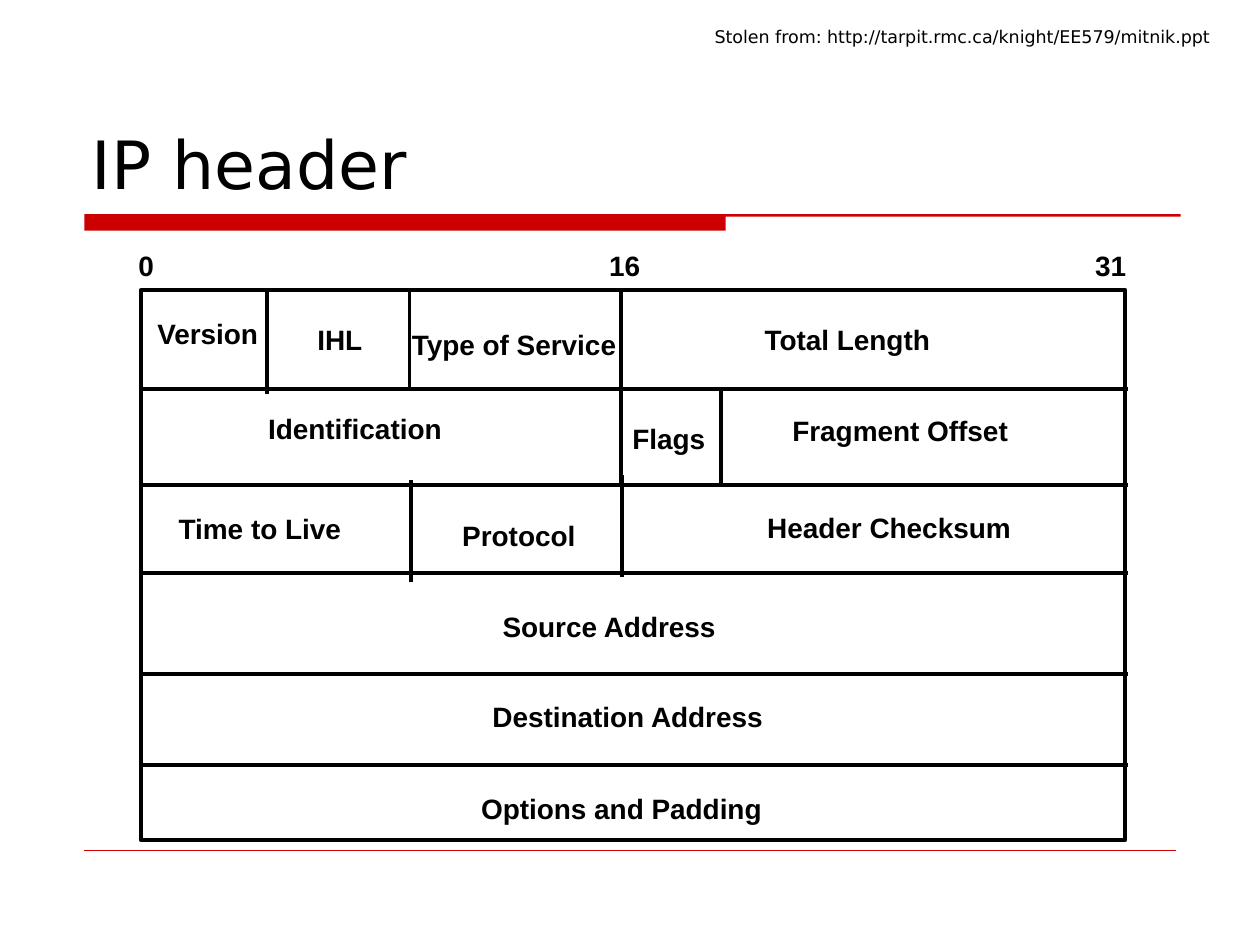
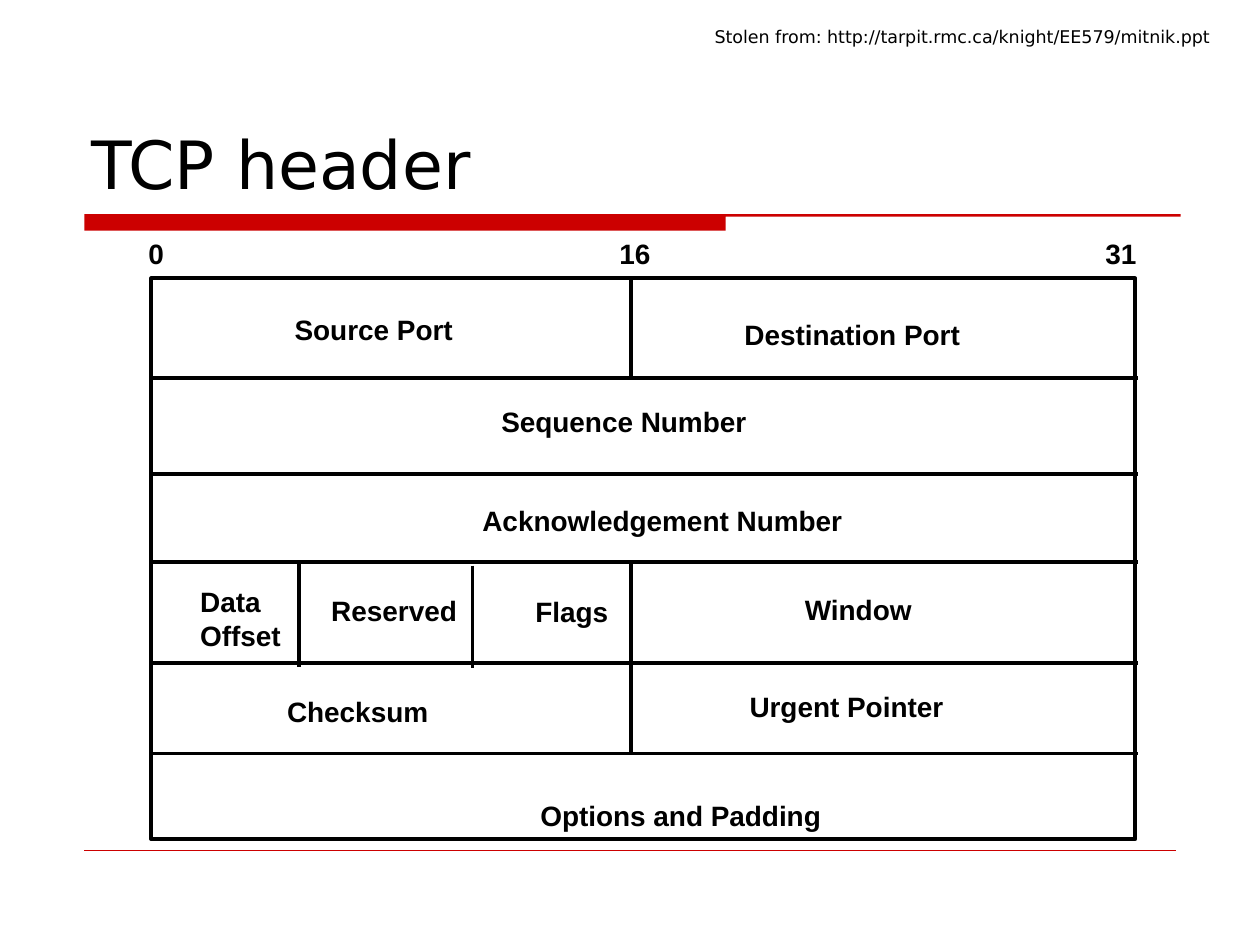
from lxml import etree
from pptx import Presentation
from pptx.dml.color import RGBColor
from pptx.enum import shapes, text
from pptx.oxml.ns import qn
from pptx.util import Inches, Pt

HUES = {"ink": "000000", "band": "CC0000"}
SANS, BOLD = "DejaVu Sans", "Arial"
CREDIT = "Stolen from: http://tarpit.rmc.ca/knight/EE579/mitnik.ppt"
WIDE, HIGH = 7.81, 0.37  # frame width, height of a one-line label
SLACK = 0.15  # spare label width, so that no label breaks
ROWS = (0.79, 1.55, 2.25, 3.05, 3.77)  # row rules below the frame top
DROP = 0.81  # usual length of a divider
BAND = [(0.67, 1.7), (9.37, 1.7), (9.37, 1.72),
        (5.76, 1.72), (5.76, 1.83), (0.67, 1.83)]

# frame: left, top, height; cuts: x, y, length; labels: text, x, y, width
# Places of cuts and labels are measured from the frame corner.
HEADERS = [
    {
        "title": "IP header",
        "frame": (1.12, 2.3, 4.37),
        "cuts": [
            (3.81, 0, DROP), (2.13, -0.01, DROP), (1, 0.02, DROP),
            (3.81, 0.73, DROP), (4.6, 0.78, 0.76),
            (3.82, 1.47, DROP), (2.14, 1.51, DROP),
        ],
        "labels": [
            ("Version", 0.03, 0.16, 1.01),
            ("IHL", 1.3, 0.21, 0.55),
            ("Type of Service", 2.05, 0.25, 1.84),
            ("Total Length", 4.85, 0.21, 1.53),
            ("Identification", 0.91, 0.92, 1.58),
            ("Flags", 3.8, 1, 0.78),
            ("Fragment Offset", 5.07, 0.93, 1.91),
            ("Time to Live", 0.2, 1.71, 1.49),
            ("Protocol", 2.45, 1.77, 1.1),
            ("Header Checksum", 4.87, 1.7, 2.13),
            ("Source Address", 2.77, 2.49, 1.9),
            ("Destination Address", 2.69, 3.2, 2.35),
            ("Options and Padding", 2.6, 3.93, 2.43),
        ],
    },
    {
        "title": "TCP header",
        "frame": (1.2, 2.21, 4.45),
        "cuts": [
            (3.81, 0, DROP), (1.17, 2.27, DROP), (2.55, 2.28, DROP),
            (3.81, 2.24, DROP), (3.81, 3.04, 0.72),
        ],
        "labels": [
            ("Source Port", 1.04, 0.22, 1.45),
            ("Destination Port", 4.61, 0.26, 1.91),
            ("Sequence Number", 2.68, 0.95, 2.14),
            ("Acknowledgement Number", 2.53, 1.74, 3.06),
            ("Data\nOffset", 0.29, 2.38, 0.84),
            ("Reserved", 1.33, 2.45, 1.2),
            ("Flags", 2.95, 2.46, 0.78),
            ("Window", 5.09, 2.44, 1.05),
            ("Checksum", 0.98, 3.25, 1.32),
            ("Urgent Pointer", 4.65, 3.21, 1.74),
            ("Options and Padding", 2.99, 4.08, 2.43),
        ],
    },
]


def tint(name):
    return RGBColor.from_string(HUES[name])


def rule(slide, x1, y1, x2, y2, hue="ink", weight=2.25):
    line = slide.shapes.add_connector(
        shapes.MSO_CONNECTOR.STRAIGHT, *map(Inches, (x1, y1, x2, y2)))
    line.line.color.rgb = tint(hue)
    line.line.width = Pt(weight)
    etree.SubElement(line._element.spPr, qn("a:effectLst"))


def write(slide, words, x, y, w, h, size=16, face=BOLD, wrap=True):
    frame = slide.shapes.add_textbox(*map(Inches, (x, y, w, h))).text_frame
    frame.word_wrap = wrap
    frame.text = words
    for para in frame.paragraphs:
        para.font.size = Pt(size)
        para.font.name = face
        para.font.bold = face == BOLD
        para.font.color.rgb = tint("ink")
    return frame


def base(slide, title):
    """Draw the title, stepped red band, foot rule and credit."""
    path = slide.shapes.build_freeform(*map(Inches, BAND[0]), scale=1.0)
    path.add_line_segments([(Inches(x), Inches(y)) for x, y in BAND[1:]])
    band = path.convert_to_shape()
    band.shadow.inherit = False
    band.fill.solid()
    band.fill.fore_color.rgb = tint("band")
    band.line.fill.background()
    rule(slide, 0.67, 6.75, 9.33, 6.75, "band", 0.25)
    head = write(slide, title, 0.63, 0.33, 8.75, 1.33, 38, SANS)
    head.vertical_anchor = text.MSO_ANCHOR.BOTTOM
    note = write(slide, CREDIT, 5.2, 0.16, 4.5, 0.27, 10, SANS)
    note.paragraphs[0].alignment = text.PP_ALIGN.RIGHT


def scale(slide, x, y):
    """Write the bit numbers, held in place by tab stops."""
    frame = write(slide, "0\t16\t31", x, y, 8.31, HIGH)
    props = frame.paragraphs[0]._p.get_or_add_pPr()
    tabs = etree.Element(qn("a:tabLst"))
    for place, kind in ((3.86, "ctr"), (7.84, "r")):
        etree.SubElement(tabs, qn("a:tab"), pos=str(Inches(place)), algn=kind)
    props.insert(0, tabs)


def grid(slide, box, cuts, labels):
    left, top, high = box
    edge = slide.shapes.add_shape(
        shapes.MSO_SHAPE.RECTANGLE, *map(Inches, (left, top, WIDE, high)))
    edge.shadow.inherit = False
    edge.fill.background()
    edge.line.color.rgb = tint("ink")
    edge.line.width = Pt(2.25)
    scale(slide, left - 0.12, top - 0.38)
    for y in ROWS:
        rule(slide, left, top + y, left + WIDE + 0.02, top + y)
    for x, y, drop in cuts:
        rule(slide, left + x, top + y, left + x, top + y + drop)
    for words, x, y, w in labels:
        tall = HIGH + 0.27 * words.count("\n")
        write(slide, words, left + x, top + y, w + SLACK, tall)


def main():
    deck = Presentation()
    deck.slide_width, deck.slide_height = Inches(10), Inches(7.5)
    for item in HEADERS:
        slide = deck.slides.add_slide(deck.slide_layouts[6])
        base(slide, item["title"])
        grid(slide, item["frame"], item["cuts"], item["labels"])
    deck.save("out.pptx")


if __name__ == "__main__":
    main()
